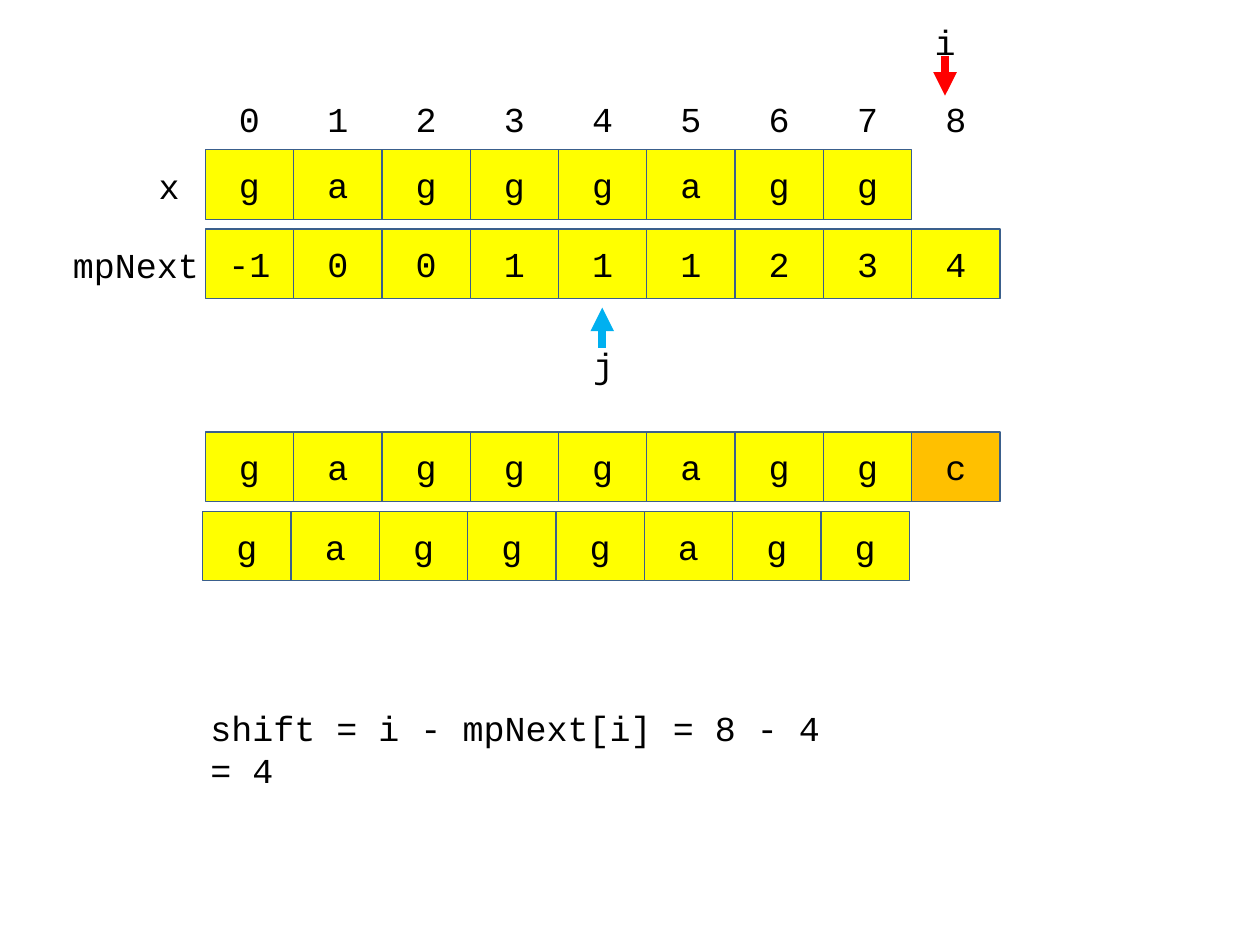
from lxml import etree
from pptx import Presentation
from pptx.dml.color import RGBColor
from pptx.enum.shapes import MSO_CONNECTOR, MSO_SHAPE
from pptx.enum.text import MSO_ANCHOR, PP_ALIGN
from pptx.oxml.ns import qn
from pptx.util import Cm, Pt

RECT = MSO_SHAPE.RECTANGLE
STRAIGHT = MSO_CONNECTOR.STRAIGHT
MIDDLE = MSO_ANCHOR.MIDDLE
LEFT, CENTER = PP_ALIGN.LEFT, PP_ALIGN.CENTER

THEME = {
    "font": "Courier New",
    "size": Pt(20),
    "text": RGBColor.from_string("000000"),
    "cell": RGBColor.from_string("FFFF00"),
    "mismatch": RGBColor.from_string("FFC000"),
    "border": RGBColor.from_string("3A5F8C"),
    "i": RGBColor.from_string("FF0000"),
    "j": RGBColor.from_string("00B0F0"),
    "border_width": Pt(0.75),
    "arrow_width": Pt(4.5),
}

CELL_W, CELL_H = 1.78, 1.4
GRID_X = 4.14
LABEL_H = 1.11


def write(sp, text, align):
    tf = sp.text_frame
    tf.word_wrap = True
    p = tf.paragraphs[0]
    p.text = text
    p.alignment = align
    p.font.name = THEME["font"]
    p.font.size = THEME["size"]
    p.font.color.rgb = THEME["text"]
    return tf


prs = Presentation()
prs.slide_width, prs.slide_height = Cm(25.4), Cm(19.05)
s = prs.slides.add_slide(prs.slide_layouts[6])

labels = [
    ("x", 2.95, 3.2, 0.99),
    ("mpNext", 1.22, 4.78, 3.61),
    ("i", 18.59, 0.28, 0.91),
    ("j", 11.71, 6.81, 0.91),
    ("shift = i - mpNext[i] = 8 - 4 = 4", 3.99, 14.12, 13.44),
]
for text, x, y, w in labels:
    sp = s.shapes.add_textbox(Cm(x), Cm(y), Cm(w), Cm(LABEL_H))
    write(sp, text, LEFT)

for index in range(9):
    sp = s.shapes.add_textbox(
        Cm(GRID_X + index * CELL_W), Cm(1.68), Cm(CELL_W), Cm(CELL_H)
    )
    write(sp, str(index), CENTER).vertical_anchor = MIDDLE

pattern = list("gagggagg")
mp_next = ["-1", "0", "0", "1", "1", "1", "2", "3", "4"]
rows = [
    (GRID_X, 3.02, pattern),
    (GRID_X, 4.62, mp_next),
    (GRID_X, 8.71, pattern + ["c"]),
    (4.09, 10.31, pattern),
]
for x, y, values in rows:
    for col, value in enumerate(values):
        sp = s.shapes.add_shape(
            RECT, Cm(x + col * CELL_W), Cm(y), Cm(CELL_W), Cm(CELL_H)
        )
        sp.shadow.inherit = False
        sp.fill.solid()
        sp.fill.fore_color.rgb = THEME["mismatch" if value == "c" else "cell"]
        sp.line.color.rgb = THEME["border"]
        sp.line.width = THEME["border_width"]
        write(sp, value, CENTER).vertical_anchor = MIDDLE

for name, x, start, end in [("i", 19.05, 1.12, 1.93), ("j", 12.14, 7.01, 6.2)]:
    arrow = s.shapes.add_connector(STRAIGHT, Cm(x), Cm(start), Cm(x), Cm(end))
    arrow.line.color.rgb = THEME[name]
    arrow.line.width = THEME["arrow_width"]
    etree.SubElement(arrow.line._get_or_add_ln(), qn("a:tailEnd"), type="triangle")
    etree.SubElement(arrow._element.spPr, qn("a:effectLst"))

prs.save("out.pptx")
